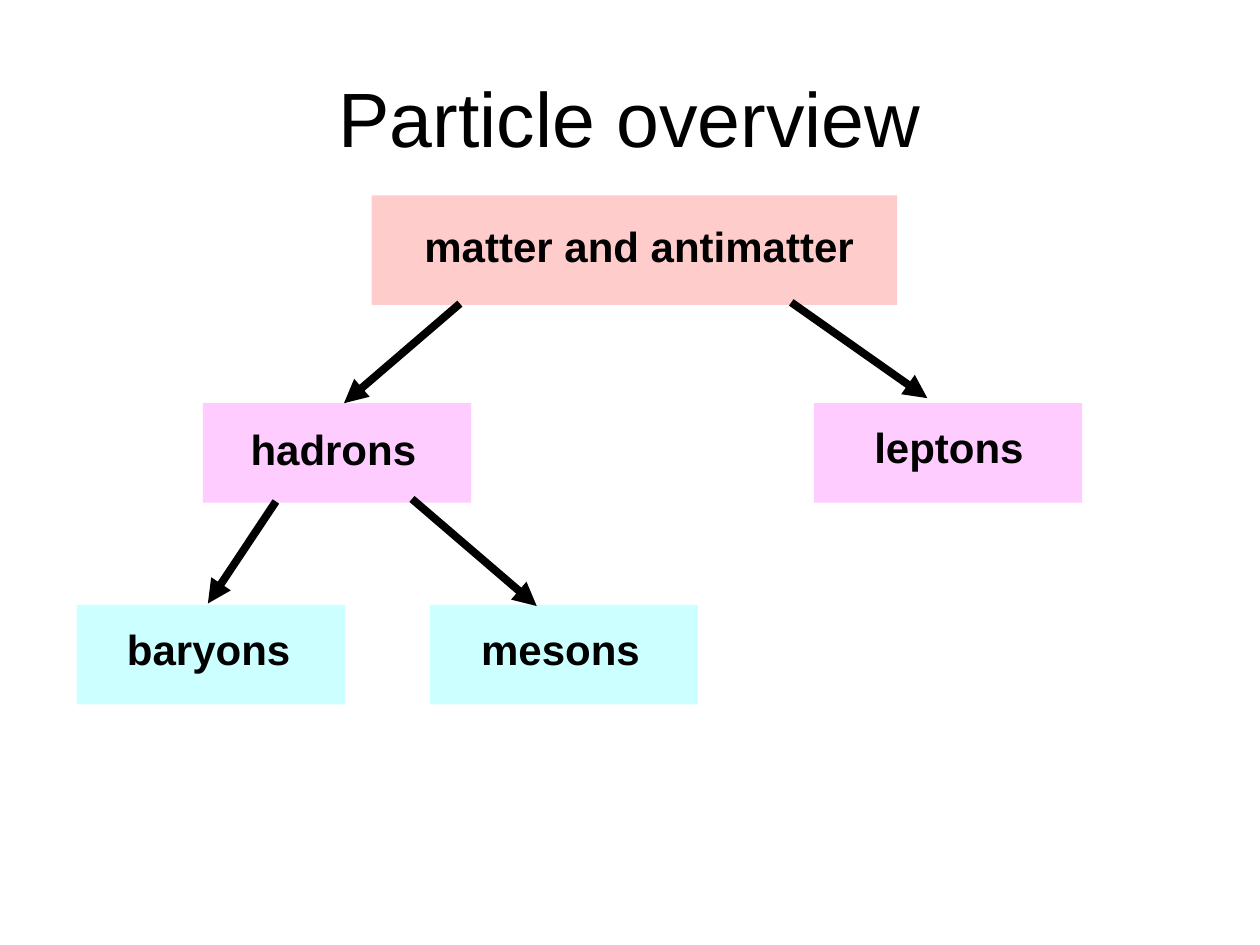
from typing import NamedTuple

from lxml import etree
from pptx import Presentation
from pptx.dml.color import RGBColor
from pptx.enum.shapes import MSO_CONNECTOR, MSO_SHAPE
from pptx.enum.text import MSO_ANCHOR, MSO_AUTO_SIZE, PP_ALIGN
from pptx.oxml.ns import qn
from pptx.slide import Slide
from pptx.text.text import Font
from pptx.util import Inches, Pt

RECTANGLE = MSO_SHAPE.RECTANGLE
STRAIGHT = MSO_CONNECTOR.STRAIGHT
FIT_SHAPE = MSO_AUTO_SIZE.SHAPE_TO_FIT_TEXT
MIDDLE = MSO_ANCHOR.MIDDLE
CENTER, LEFT = PP_ALIGN.CENTER, PP_ALIGN.LEFT

TITLE_ONLY = 5
FONT = "Arial"
BLACK, ROSE, PINK, CYAN = "000000", "FFCCCC", "FFCCFF", "CCFFFF"
HADRON_ROW, MESON_ROW = 3.2, 4.8
LABEL_HEIGHT = 0.5


class Particle(NamedTuple):
    name: str
    fill: str
    left: float
    top: float
    label_left: float
    label_top: float
    label_width: float
    width: float = 2.13
    height: float = 0.79


class Arrow(NamedTuple):
    start: tuple[float, float]
    end: tuple[float, float]


PARTICLES = [
    Particle("matter and antimatter", ROSE, 2.95, 1.55, 3.27, 1.7, 3.62, 4.17, 0.87),
    Particle("hadrons", PINK, 1.61, HADRON_ROW, 1.89, 3.31, 1.73),
    Particle("leptons", PINK, 6.46, HADRON_ROW, 6.84, 3.3, 1.49),
    Particle("baryons", CYAN, 0.61, MESON_ROW, 0.91, 4.9, 1.67),
    Particle("mesons", CYAN, 3.41, MESON_ROW, 3.72, 4.9, 1.48),
]
ARROWS = [
    Arrow((3.65, 2.41), (2.73, 3.2)),
    Arrow((6.28, 2.4), (7.36, 3.16)),
    Arrow((2.19, 3.98), (1.65, 4.79)),
    Arrow((3.27, 3.96), (4.26, 4.81)),
]


def color(value: str) -> RGBColor:
    return RGBColor.from_string(value)


def style_font(font: Font, size: float, bold: bool) -> None:
    font.name = FONT
    font.size = Pt(size)
    font.bold = bold
    font.color.rgb = color(BLACK)


def add_title(page: Slide, text: str) -> None:
    title = page.shapes.title
    title.left, title.top = Inches(0.5), Inches(0.3)
    title.width, title.height = Inches(9), Inches(1.25)
    title.text_frame.text = text
    title.text_frame.vertical_anchor = MIDDLE
    para = title.text_frame.paragraphs[0]
    para.alignment = CENTER
    style_font(para.runs[0].font, 44, False)


def add_particle(page: Slide, particle: Particle) -> None:
    """Group a coloured rectangle with its label."""
    group = page.shapes.add_group_shape()
    box = group.shapes.add_shape(
        RECTANGLE, Inches(particle.left), Inches(particle.top),
        Inches(particle.width), Inches(particle.height))
    box.shadow.inherit = False
    box.fill.solid()
    box.fill.fore_color.rgb = color(particle.fill)
    box.line.fill.background()

    label = group.shapes.add_textbox(
        Inches(particle.label_left), Inches(particle.label_top),
        Inches(particle.label_width), Inches(LABEL_HEIGHT))
    frame = label.text_frame
    frame.text = particle.name
    frame.word_wrap = True
    frame.auto_size = FIT_SHAPE
    para = frame.paragraphs[0]
    para.alignment = LEFT
    style_font(para.runs[0].font, 24, True)


def add_arrow(page: Slide, arrow: Arrow) -> None:
    points = [Inches(value) for value in (*arrow.start, *arrow.end)]
    connector = page.shapes.add_connector(STRAIGHT, *points)
    connector.line.color.rgb = color(BLACK)
    connector.line.width = Pt(4.5)
    etree.SubElement(connector.line._get_or_add_ln(), qn("a:tailEnd"), type="triangle")
    etree.SubElement(connector._element.spPr, qn("a:effectLst"))


def main() -> None:
    deck = Presentation()
    deck.slide_width, deck.slide_height = Inches(10), Inches(7.5)
    page = deck.slides.add_slide(deck.slide_layouts[TITLE_ONLY])
    add_title(page, "Particle overview")
    for particle in PARTICLES:
        add_particle(page, particle)
    for arrow in ARROWS:
        add_arrow(page, arrow)
    deck.save("out.pptx")


if __name__ == "__main__":
    main()
